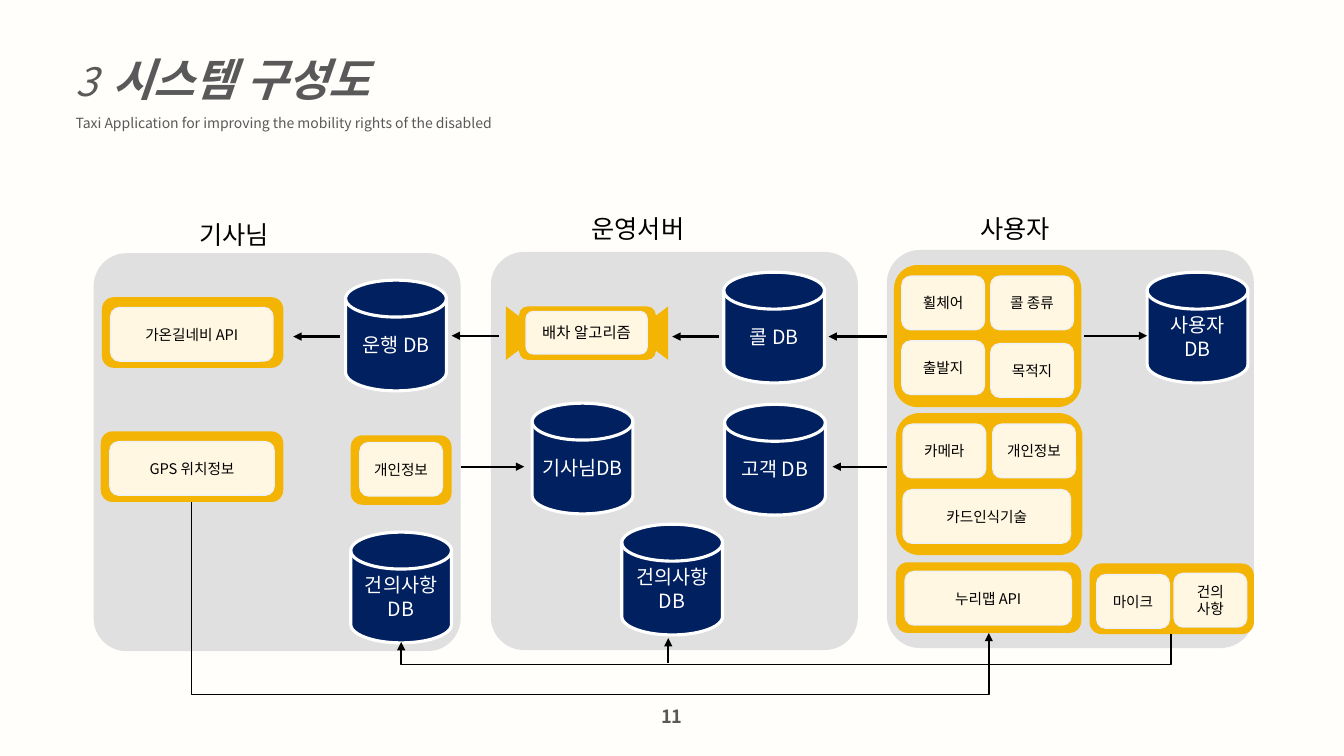
from dataclasses import dataclass

from lxml import etree
from pptx import Presentation
from pptx.dml.color import RGBColor
from pptx.enum.shapes import MSO_CONNECTOR, MSO_SHAPE
from pptx.enum.text import MSO_ANCHOR, MSO_AUTO_SIZE, PP_ALIGN
from pptx.oxml.ns import qn
from pptx.shapes.autoshape import Shape
from pptx.shapes.connector import Connector
from pptx.slide import Slide
from pptx.text.text import Font
from pptx.util import Cm, Pt

ROUNDED = MSO_SHAPE.ROUNDED_RECTANGLE
DISK = MSO_SHAPE.FLOWCHART_MAGNETIC_DISK
TRIANGLE = MSO_SHAPE.ISOSCELES_TRIANGLE
STRAIGHT = MSO_CONNECTOR.STRAIGHT
ELBOW = MSO_CONNECTOR.ELBOW
TOP = MSO_ANCHOR.TOP
MIDDLE = MSO_ANCHOR.MIDDLE
NO_FIT = MSO_AUTO_SIZE.NONE
LEFT = PP_ALIGN.LEFT
CENTER = PP_ALIGN.CENTER

FONT_NAME = "Noto Sans CJK KR"
BACKGROUND = RGBColor(0xFF, 0xFE, 0xFB)
GRAY = RGBColor(0x59, 0x59, 0x59)
PANEL_GRAY = RGBColor(0xE0, 0xE0, 0xE0)
AMBER = RGBColor(0xF3, 0xB4, 0x03)
CREAM = RGBColor(0xFF, 0xF7, 0xE1)
TILE_EDGE = RGBColor(0xEE, 0xF1, 0xF8)
NAVY = RGBColor(0x00, 0x20, 0x60)
WHITE = RGBColor(0xFF, 0xFF, 0xFF)
BLACK = RGBColor(0x00, 0x00, 0x00)

SLIDE_WIDTH, SLIDE_HEIGHT = 33.87, 19.05
PANEL_WIDTH, PANEL_HEIGHT = 9.25, 10.03
DISK_WIDTH, DISK_HEIGHT = 2.54, 2.79


@dataclass(frozen=True)
class Box:
    left: float
    top: float
    width: float
    height: float


@dataclass(frozen=True)
class Panel:
    heading: str
    left: float
    top: float
    heading_box: Box


@dataclass(frozen=True)
class Tile:
    label: str
    left: float
    top: float
    width: float = 2.08
    height: float = 1.35
    size: float = 10.5


@dataclass(frozen=True)
class Module:
    frame: Box
    tiles: tuple[Tile, ...]


@dataclass(frozen=True)
class Database:
    label: str
    left: float
    top: float


@dataclass(frozen=True)
class Flow:
    start: tuple[float, float]
    end: tuple[float, float]


@dataclass(frozen=True)
class Detour:
    start: tuple[float, float]
    end: tuple[float, float]
    low: float


PANELS = (
    Panel("운영서버", 12.37, 6.35, Box(14.66, 5.26, 3.02, 1.02)),
    Panel("기사님", 2.36, 6.38, Box(4.78, 5.41, 2.54, 1.02)),
    Panel("사용자", 22.35, 6.3, Box(24.46, 5.26, 2.54, 1.02)),
)
RIBBON_TAILS = ((12.52, 90), (15.72, 270))
MODULES = (
    Module(Box(22.53, 6.68, 4.72, 3.58), (
        Tile("휠체어", 22.73, 6.96), Tile("출발지", 22.73, 8.59),
        Tile("목적지", 24.97, 8.66), Tile("콜 종류", 24.97, 6.96))),
    Module(Box(22.58, 14.17, 4.67, 1.78), (Tile("누리맵 API", 22.81, 14.4, 4.19),)),
    Module(Box(22.58, 10.41, 4.7, 3.58), (
        Tile("카메라", 22.76, 10.69), Tile("카드인식기술", 22.76, 12.34, 4.22),
        Tile("개인정보", 25.02, 10.69))),
    Module(Box(2.54, 10.87, 4.6, 1.78), (Tile("GPS 위치정보", 2.77, 11.13, 4.14),)),
    Module(Box(2.57, 7.49, 4.57, 1.78), (Tile("가온길네비 API", 2.79, 7.75, 4.09),)),
    Module(Box(27.46, 14.2, 4.14, 1.78), (
        Tile("마이크", 27.64, 14.48, 1.83), Tile("건의\n사항", 29.59, 14.45, 1.83))),
    Module(Box(8.84, 10.97, 2.54, 1.75), (Tile("개인정보", 9.07, 11.15),)),
    Module(Box(13.08, 7.72, 3.45, 1.35), (
        Tile("배차 알고리즘", 13.26, 7.85, 3.05, 1.07, 11),)),
)
DATABASES = (
    Database("고객 DB", 18.26, 10.19),
    Database("사용자 DB", 28.91, 6.86),
    Database("콜 DB", 18.24, 6.86),
    Database("건의사항DB", 8.84, 13.41),
    Database("건의사항DB", 15.67, 13.21),
    Database("기사님DB", 13.41, 10.16),
    Database("운행 DB", 8.71, 7.06),
)
FLOWS = (
    Flow((22.35, 11.76), (20.98, 11.76)),
    Flow((22.35, 8.48), (20.88, 8.48)),
    Flow((18.11, 8.48), (16.94, 8.48)),
    Flow((12.57, 8.46), (11.38, 8.46)),
    Flow((8.56, 8.48), (7.39, 8.48)),
    Flow((27.33, 8.46), (28.91, 8.46)),
    Flow((11.61, 11.76), (13.21, 11.76)),
    Flow((16.84, 16.71), (16.84, 16.08)),
)
DETOURS = (
    Detour((4.83, 12.65), (24.92, 15.95), 17.5),
    Detour((29.51, 15.98), (10.11, 16.18), 16.74),
)


def lengths(box: Box) -> tuple[Cm, Cm, Cm, Cm]:
    return Cm(box.left), Cm(box.top), Cm(box.width), Cm(box.height)


def style_font(font: Font, size: float, color: RGBColor,
               bold: bool = False, italic: bool = False) -> None:
    font.size, font.bold, font.italic = Pt(size), bold, italic
    font.color.rgb = color
    font.name = FONT_NAME
    etree.SubElement(font._rPr, qn("a:ea"), typeface=FONT_NAME)


def write(shape: Shape, text: str, size: float, color: RGBColor,
          align: PP_ALIGN = CENTER, bold: bool = False) -> None:
    shape.text_frame.word_wrap = True
    shape.text_frame.text = text
    for paragraph in shape.text_frame.paragraphs:
        paragraph.alignment = align
        style_font(paragraph.font, size, color, bold)


def add_label(slide: Slide, box: Box, text: str, size: float, color: RGBColor,
              align: PP_ALIGN, bold: bool = False) -> None:
    write(slide.shapes.add_textbox(*lengths(box)), text, size, color, align, bold)


def add_filled(slide: Slide, kind: MSO_SHAPE, box: Box, fill: RGBColor,
               edge: RGBColor | None = None, edge_width: float = 1) -> Shape:
    shape = slide.shapes.add_shape(kind, *lengths(box))
    shape.shadow.inherit = False
    shape.fill.solid()
    shape.fill.fore_color.rgb = fill
    if edge is None:
        shape.line.fill.background()
    else:
        shape.line.color.rgb = edge
        shape.line.width = Pt(edge_width)
    shape.text_frame.vertical_anchor = MIDDLE
    return shape


def add_module(slide: Slide, module: Module) -> None:
    add_filled(slide, ROUNDED, module.frame, AMBER)
    for tile in module.tiles:
        box = Box(tile.left, tile.top, tile.width, tile.height)
        write(add_filled(slide, ROUNDED, box, CREAM, TILE_EDGE), tile.label, tile.size, BLACK)


def style_arrow(arrow: Connector, width: float) -> None:
    arrow.line.color.rgb = BLACK
    arrow.line.width = Pt(width)
    etree.SubElement(arrow.line._get_or_add_ln(), qn("a:tailEnd"), type="triangle")
    etree.SubElement(arrow._element.spPr, qn("a:effectLst"))


def add_flow(slide: Slide, flow: Flow) -> None:
    points = [Cm(value) for value in (*flow.start, *flow.end)]
    style_arrow(slide.shapes.add_connector(STRAIGHT, *points), 1.5)


def add_detour(slide: Slide, detour: Detour) -> None:
    (start_x, start_y), (end_x, end_y) = detour.start, detour.end
    rightward = end_x > start_x
    center_x, center_y = (start_x + end_x) / 2, (start_y + end_y) / 2
    half_width, half_rise = abs(end_x - start_x) / 2, (end_y - start_y) / 2
    offset = half_rise if rightward else -half_rise
    arrow = slide.shapes.add_connector(
        ELBOW, Cm(center_x + offset), Cm(center_y - half_width),
        Cm(center_x - offset), Cm(center_y + half_width))
    properties = arrow._element.spPr
    properties.find(qn("a:xfrm")).set("rot", str((270 if rightward else 90) * 60000))
    bend = round((detour.low - start_y) / (end_y - start_y) * 100000)
    guides = properties.find(qn("a:prstGeom")).find(qn("a:avLst"))
    etree.SubElement(guides, qn("a:gd"), name="adj1", fmla=f"val {bend}")
    style_arrow(arrow, 1)


def add_title(slide: Slide) -> None:
    title = slide.shapes.title
    title.left, title.top, title.width, title.height = lengths(Box(1.65, 0.51, 16.94, 2.9))
    frame = title.text_frame
    frame.auto_size, frame.vertical_anchor, frame.word_wrap = NO_FIT, TOP, True
    heading, subtitle = frame.paragraphs[0], frame.add_paragraph()
    for text, size, bold in (("3", 28, False), ("  ", 24, False), ("시스템 구성도", 32, True)):
        run = heading.add_run()
        run.text = text
        style_font(run.font, size, GRAY, bold, True)
    subtitle.text = "Taxi Application for improving the mobility rights of the disabled"
    style_font(subtitle.font, 10, GRAY)
    for paragraph in (heading, subtitle):
        paragraph.alignment, paragraph.line_spacing = LEFT, 1.5
        paragraph.space_before = Pt(0)


def main() -> None:
    presentation = Presentation()
    presentation.slide_width, presentation.slide_height = Cm(SLIDE_WIDTH), Cm(SLIDE_HEIGHT)
    slide = presentation.slides.add_slide(presentation.slide_layouts[5])
    slide.background.fill.solid()
    slide.background.fill.fore_color.rgb = BACKGROUND
    add_title(slide)
    add_label(slide, Box(0, 17.65, SLIDE_WIDTH, 0.81), "11", 13, GRAY, CENTER, True)
    for panel in PANELS:
        box = Box(panel.left, panel.top, PANEL_WIDTH, PANEL_HEIGHT)
        add_filled(slide, ROUNDED, box, PANEL_GRAY).adjustments[0] = 0.09
        add_label(slide, panel.heading_box, panel.heading, 18, BLACK, LEFT)
    for left, rotation in RIBBON_TAILS:
        add_filled(slide, TRIANGLE, Box(left, 7.95, 1.35, 0.89), AMBER).rotation = rotation
    for module in MODULES:
        add_module(slide, module)
    for database in DATABASES:
        box = Box(database.left, database.top, DISK_WIDTH, DISK_HEIGHT)
        write(add_filled(slide, DISK, box, NAVY, WHITE, 2.25), database.label, 14, WHITE)
    for flow in FLOWS:
        add_flow(slide, flow)
    for detour in DETOURS:
        add_detour(slide, detour)
    presentation.save("out.pptx")


if __name__ == "__main__":
    main()
